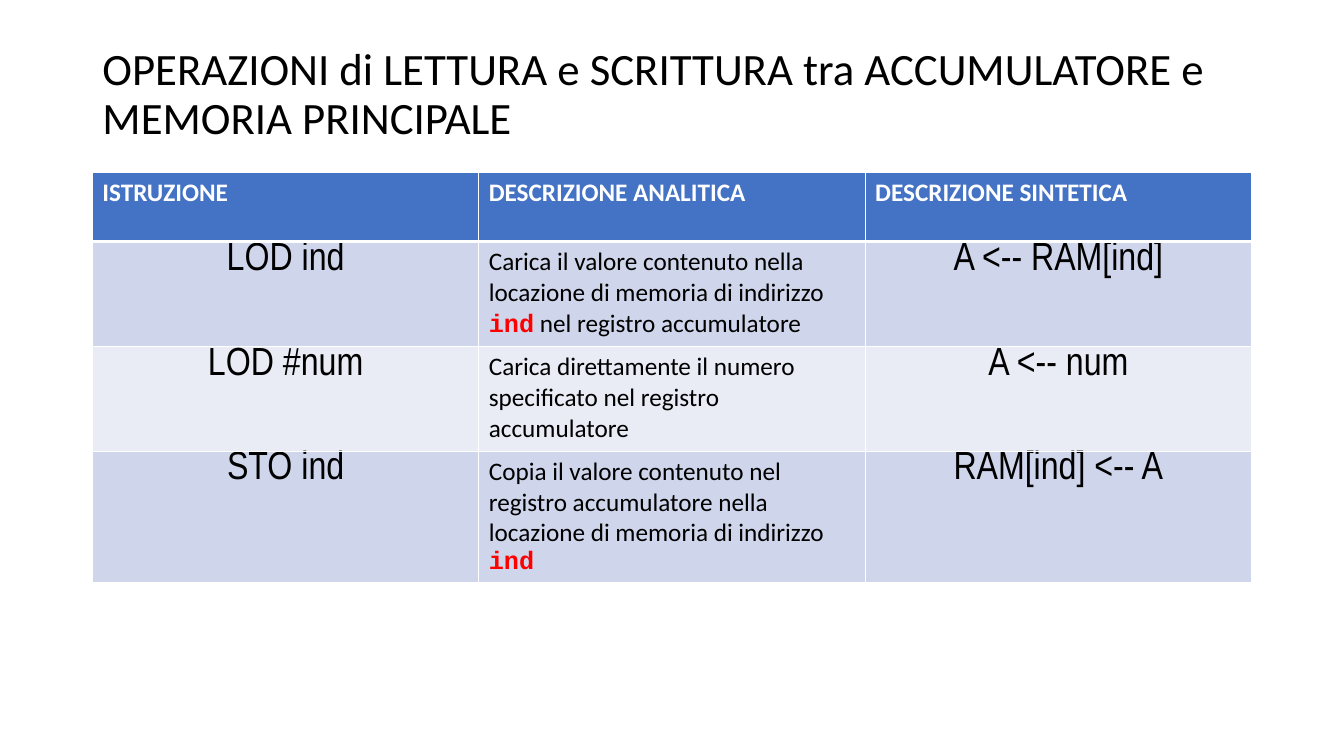
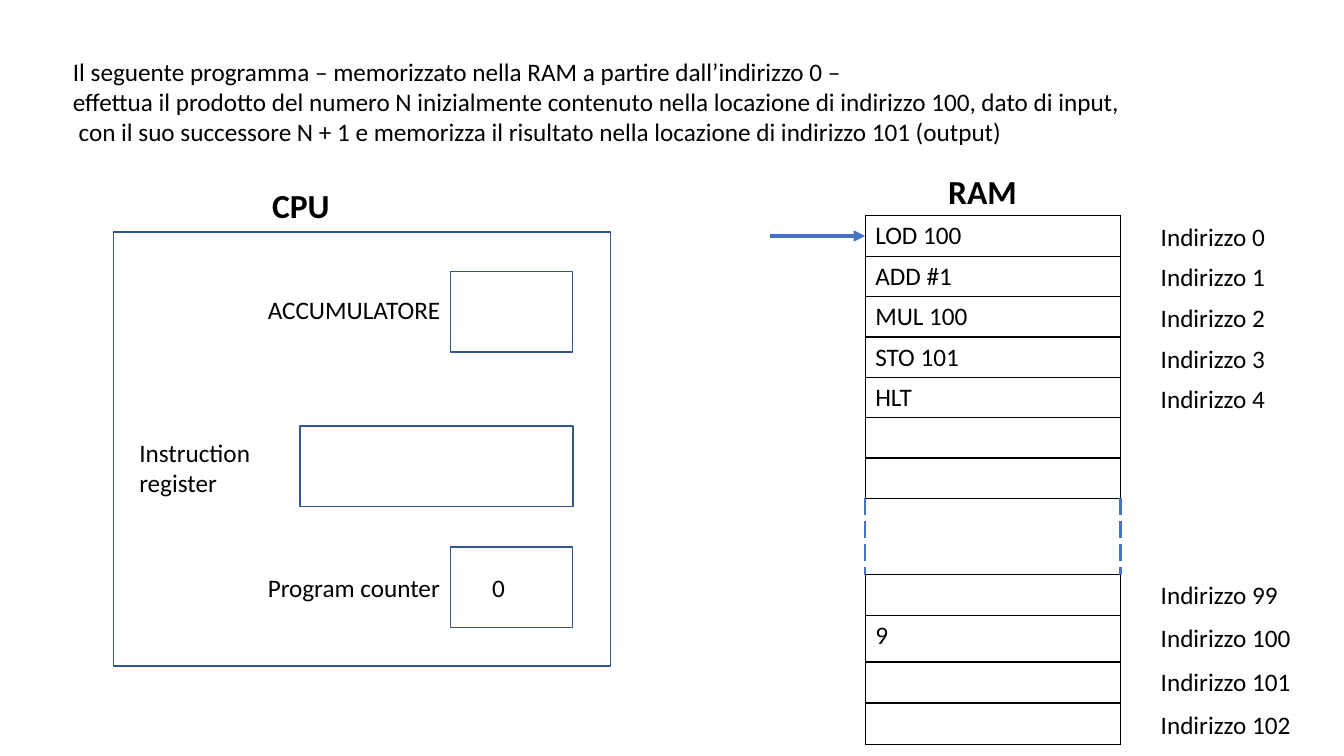
"""Two slides on the instructions of a simple accumulator machine and its memory."""
from dataclasses import dataclass
from typing import NamedTuple

from lxml.etree import SubElement
from pptx import Presentation
from pptx.dml.color import RGBColor
from pptx.enum.dml import MSO_LINE
from pptx.enum.shapes import MSO_CONNECTOR, MSO_SHAPE
from pptx.enum.text import MSO_ANCHOR, MSO_AUTO_SIZE, PP_ALIGN
from pptx.oxml.ns import qn
from pptx.util import Emu, Inches, Pt

COLS, ROWS = 32, 18
WIDTH, HEIGHT = Inches(13.333), Inches(7.5)


@dataclass(frozen=True)
class Style:
    """Look of a run of text."""
    size: int
    font: str = "Calibri"
    color: str = "000000"
    bold: bool = False


@dataclass(frozen=True)
class Theme:
    """Colours and type styles of the deck."""
    black: str = "000000"
    white: str = "FFFFFF"
    accent: str = "4472C4"
    outline: str = "325491"
    bands: tuple[str, str] = ("CFD5EA", "E9EBF5")
    title: Style = Style(32)
    body: Style = Style(18)
    heading: Style = Style(24, bold=True)
    header: Style = Style(18, color="FFFFFF", bold=True)
    code: Style = Style(28, "Arial Narrow")
    operand: Style = Style(18, "Courier New", "FF0000", True)


T = Theme()


class Run(NamedTuple):
    """A piece of text in one style."""
    text: str
    style: Style = T.body


class Box(NamedTuple):
    """A place on the slide in grid columns and rows."""
    x: float
    y: float
    w: float
    h: float

    def emu(self) -> tuple[Emu, Emu, Emu, Emu]:
        """Left, top, width and height as lengths."""
        return gx(self.x), gy(self.y), gx(self.w), gy(self.h)


class Label(NamedTuple):
    """A text box with a single run."""
    box: Box
    run: Run


class Instruction(NamedTuple):
    """A row of the instruction table."""
    syntax: str
    meaning: list[Run]
    effect: str


class Memory(NamedTuple):
    """A block of RAM cells with its addresses."""
    top: float
    heights: list[float]
    cells: list[str]
    addresses: list[int]
    step: float


TITLE_BOX = Box(2.2, 1, 27.6, 2.8)
TITLE = "OPERAZIONI di LETTURA e SCRITTURA tra ACCUMULATORE e MEMORIA PRINCIPALE"
HEADERS = ["ISTRUZIONE", "DESCRIZIONE ANALITICA", "DESCRIZIONE SINTETICA"]
IND = Run("ind", T.operand)
INSTRUCTIONS = [
    Instruction("LOD ind", [
        Run("Carica il valore contenuto nella locazione di memoria di indirizzo "),
        IND, Run(" nel registro accumulatore")], "A <-- RAM[ind]"),
    Instruction("LOD #num", [
        Run("Carica direttamente il numero specificato nel registro accumulatore")],
        "A <-- num"),
    Instruction("STO ind", [
        Run("Copia il valore contenuto nel registro accumulatore nella "
            "locazione di memoria di indirizzo "), IND], "RAM[ind] <-- A"),
]

INTRO_BOX = Box(1.5, 1.22, 26.7, 2.42)
INTRO = [
    "Il seguente programma – memorizzato nella RAM a partire dall’indirizzo 0 –",
    "effettua il prodotto del numero N inizialmente contenuto nella locazione "
    "di indirizzo 100, dato di input,",
    " con il suo successore N + 1 e memorizza il risultato nella locazione "
    "di indirizzo 101 (output)",
]
RAM_X, RAM_W, ADDRESS_X = 20.6, 6.08, 27.4
PROGRAM = Memory(5.14, [0.96] * 7,
                 ["LOD 100", "ADD #1", "MUL 100", "STO 101", "HLT", "", ""],
                 [0, 1, 2, 3, 4], 0.97)
DATA = Memory(13.68, [0.98, 1.1, 0.98, 0.98], ["", "9", "", ""],
              [99, 100, 101, 102], 1.03)
CPU_BOXES = [
    Box(2.7, 5.52, 11.84, 10.34),
    Box(10.72, 6.46, 2.92, 1.92),
    Box(7.14, 10.14, 6.5, 1.92),
    Box(10.72, 13.02, 2.92, 1.92),
]
LABELS = [
    Label(Box(6.24, 4.28, 5.3, 1.2), Run("CPU", T.heading)),
    Label(Box(6.14, 6.9, 4.8, 0.96), Run("ACCUMULATORE")),
    Label(Box(3.08, 10.3, 3.72, 1.71), Run("Instruction register")),
    Label(Box(6.14, 13.5, 4.97, 0.96), Run("Program counter")),
    Label(Box(11.48, 13.5, 1, 0.96), Run("0")),
    Label(Box(22.34, 3.96, 3.92, 1.2), Run("RAM", T.heading)),
]


def gx(cols: float) -> Emu:
    """Width of a number of grid columns."""
    return Emu(round(WIDTH * cols / COLS))


def gy(rows: float) -> Emu:
    """Height of a number of grid rows."""
    return Emu(round(HEIGHT * rows / ROWS))


def rgb(color: str) -> RGBColor:
    """Colour object of a hex value."""
    return RGBColor.from_string(color)


def write(tf, paragraphs: list[list[Run]], align=PP_ALIGN.LEFT) -> None:
    """Fill a text frame run by run."""
    for i, runs in enumerate(paragraphs):
        p = tf.paragraphs[0] if i == 0 else tf.add_paragraph()
        p.alignment = align
        for run in runs:
            r = p.add_run()
            r.text = run.text
            f = r.font
            f.size, f.name, f.bold = Pt(run.style.size), run.style.font, run.style.bold
            f.color.rgb = rgb(run.style.color)


def add_text(s, box: Box, paragraphs: list[list[Run]]) -> None:
    """Draw a wrapping text box."""
    tf = s.shapes.add_textbox(*box.emu()).text_frame
    tf.word_wrap = True
    tf.auto_size = MSO_AUTO_SIZE.SHAPE_TO_FIT_TEXT
    write(tf, paragraphs)


def add_title(s, text: str) -> None:
    """Place and format the title placeholder."""
    sp = s.shapes.title
    sp.left, sp.top, sp.width, sp.height = TITLE_BOX.emu()
    tf = sp.text_frame
    tf.word_wrap, tf.auto_size = True, MSO_AUTO_SIZE.NONE
    tf.vertical_anchor = MSO_ANCHOR.TOP
    write(tf, [[Run(text, T.title)]])
    tf.paragraphs[0].line_spacing = 0.9


def add_rect(s, box: Box) -> None:
    """Draw an outlined rectangle."""
    sp = s.shapes.add_shape(MSO_SHAPE.RECTANGLE, *box.emu())
    sp.shadow.inherit = False
    sp.fill.background()
    sp.line.color.rgb = rgb(T.outline)
    sp.line.width = Pt(1)


def add_line(s, x1: float, y1: float, x2: float, y2: float, width: float,
             dashed: bool = False, arrow: bool = False) -> None:
    """Draw a straight line, dashed or with an arrowhead at its end."""
    cn = s.shapes.add_connector(MSO_CONNECTOR.STRAIGHT, gx(x1), gy(y1), gx(x2), gy(y2))
    cn.line.color.rgb = rgb(T.accent)
    cn.line.width = Pt(width)
    if dashed:
        cn.line.dash_style = MSO_LINE.LONG_DASH
    spPr = cn.element.spPr
    if arrow:
        SubElement(spPr.find(qn("a:ln")), qn("a:tailEnd"), type="triangle")
    SubElement(spPr, qn("a:effectLst"))


def add_grid(s, x: float, y: float, widths: list[float], heights: list[float]):
    """Add an unstyled table with given column widths and row heights."""
    box = Box(x, y, sum(widths), sum(heights))
    tbl = s.shapes.add_table(len(heights), len(widths), *box.emu()).table
    tbl.first_row = tbl.horz_banding = False
    for col, w in zip(tbl.columns, widths):
        col.width = gx(w)
    for row, h in zip(tbl.rows, heights):
        row.height = gy(h)
    return tbl


def format_cell(cell, border: str, fill: str = "", top: float = 1, bottom: float = 1) -> None:
    """Set the four borders and the fill of a cell."""
    tcPr = cell._tc.get_or_add_tcPr()
    for side, width in (("L", 1), ("R", 1), ("T", top), ("B", bottom)):
        ln = SubElement(tcPr, qn(f"a:ln{side}"), w=str(Pt(width)))
        SubElement(SubElement(ln, qn("a:solidFill")), qn("a:srgbClr"), val=border)
    if fill:
        cell.fill.solid()
        cell.fill.fore_color.rgb = rgb(fill)
    else:
        cell.fill.background()


def add_instructions(s) -> None:
    """Draw the table of memory instructions."""
    tbl = add_grid(s, 2.2, 4.1, [9.2] * 3, [1.65] + [2.5] * len(INSTRUCTIONS))
    tbl.first_row = True
    for c, header in enumerate(HEADERS):
        cell = tbl.cell(0, c)
        format_cell(cell, T.white, T.accent, bottom=3)
        write(cell.text_frame, [[Run(header, T.header)]])
    for r, row in enumerate(INSTRUCTIONS, 1):
        for c, value in enumerate(row):
            cell = tbl.cell(r, c)
            format_cell(cell, T.white, T.bands[(r - 1) % 2], top=3 if r == 1 else 1)
            if isinstance(value, str):
                cell.margin_top = cell.margin_bottom = 0
                write(cell.text_frame, [[Run(value, T.code)]], PP_ALIGN.CENTER)
            else:
                write(cell.text_frame, [value])


def add_memory(s, block: Memory) -> None:
    """Draw a block of RAM cells and the addresses beside it."""
    tbl = add_grid(s, RAM_X, block.top, [RAM_W], block.heights)
    for r, text in enumerate(block.cells):
        cell = tbl.cell(r, 0)
        format_cell(cell, T.black)
        if text:
            write(cell.text_frame, [[Run(text)]])
    for i, address in enumerate(block.addresses):
        box = Box(ADDRESS_X, block.top + i * block.step, 3.92, 0.96)
        add_text(s, box, [[Run(f"Indirizzo {address}")]])


def build_instructions(prs) -> None:
    """Build the slide of load and store instructions."""
    s = prs.slides.add_slide(prs.slide_layouts[5])
    add_title(s, TITLE)
    add_instructions(s)


def build_machine(prs) -> None:
    """Build the slide of the CPU and the RAM."""
    s = prs.slides.add_slide(prs.slide_layouts[6])
    add_text(s, INTRO_BOX, [[Run(line)] for line in INTRO])
    for box in CPU_BOXES:
        add_rect(s, box)
    for label in LABELS:
        add_text(s, label.box, [[label.run]])
    for block in (PROGRAM, DATA):
        add_memory(s, block)
    gap_top = PROGRAM.top + sum(PROGRAM.heights)
    for x in (RAM_X, RAM_X + RAM_W):
        add_line(s, x, gap_top, x, DATA.top, 1.5, dashed=True)
    pointer_y = PROGRAM.top + PROGRAM.heights[0] / 2
    add_line(s, 18.34, pointer_y, RAM_X, pointer_y, 2.75, arrow=True)


def main() -> None:
    """Build and save the deck."""
    prs = Presentation()
    prs.slide_width, prs.slide_height = WIDTH, HEIGHT
    build_instructions(prs)
    build_machine(prs)
    prs.save("out.pptx")


if __name__ == "__main__":
    main()
